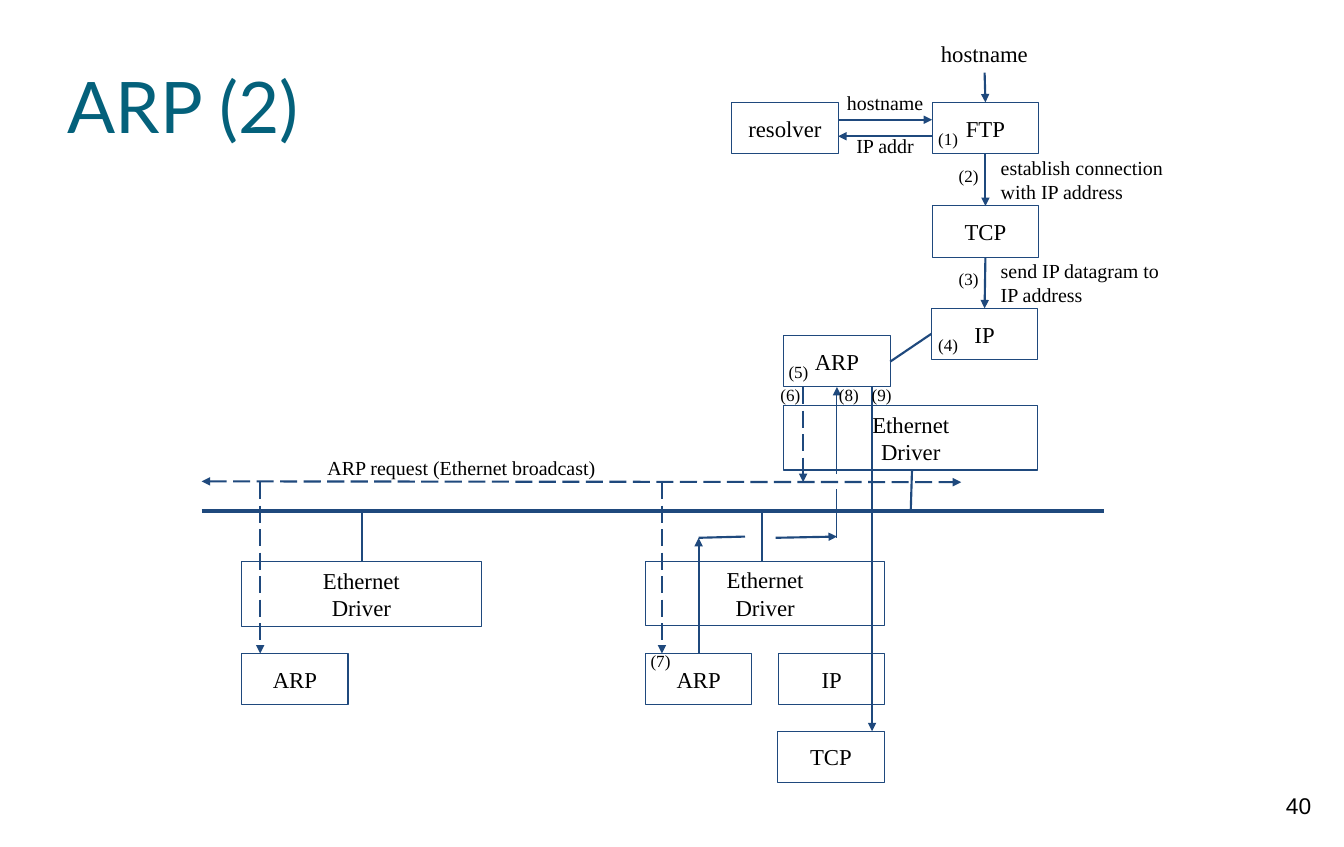
"""Build the slide that traces an ARP request between hosts on an Ethernet."""
from typing import NamedTuple

from lxml import etree
from pptx import Presentation
from pptx.dml.color import RGBColor
from pptx.enum.dml import MSO_LINE
from pptx.enum.shapes import MSO_CONNECTOR, MSO_SHAPE
from pptx.enum.text import MSO_ANCHOR, MSO_AUTO_SIZE, PP_ALIGN
from pptx.oxml.ns import qn
from pptx.util import Cm, Pt

RECT, STRAIGHT = MSO_SHAPE.RECTANGLE, MSO_CONNECTOR.STRAIGHT
LONG_DASH = MSO_LINE.LONG_DASH
TOP, MIDDLE = MSO_ANCHOR.TOP, MSO_ANCHOR.MIDDLE
LEFT, CENTER = PP_ALIGN.LEFT, PP_ALIGN.CENTER
NO_FIT = MSO_AUTO_SIZE.NONE
COLORS = {"line": "1F497D", "text": "000000", "title": "04617B"}
SERIF = "Times New Roman"

BOX_W, BOX_H, DRIVER_H = 2.64, 1.27, 1.6
LABEL_H, STEP_W = 0.74, 1.04
BUS_Y, BROADCAST_Y, REPLY_Y = 12.67, 11.96, 13.34
HOST_Y, ARP_BOTTOM, REPLY_X = 16.21, 9.6, 20.75


class Box(NamedTuple):
    text: str
    x: float
    y: float
    w: float = BOX_W
    h: float = BOX_H


class Label(NamedTuple):
    text: str
    x: float
    y: float
    w: float = STEP_W
    h: float = LABEL_H
    size: int = 12
    align: PP_ALIGN = LEFT
    anchor: MSO_ANCHOR = MIDDLE
    font: str = SERIF


class Line(NamedTuple):
    x1: float
    y1: float
    x2: float
    y2: float
    ends: tuple = ()
    width: float = 1.5
    dashed: bool = False


ARROW, BOTH = ("tailEnd",), ("headEnd", "tailEnd")

BOXES = [
    Box("FTP", 23.11, 2.54),
    Box("TCP", 23.11, 5.11),
    Box("IP", 23.09, 7.65),
    Box("resolver", 18.14, 2.54),
    Box("ARP", 19.43, 8.33),
    Box("Ethernet\nDriver", 19.43, 10.06, 6.3, DRIVER_H),
    Box("Ethernet\nDriver", 5.99, 13.94, 5.94, DRIVER_H),
    Box("Ethernet\nDriver", 16, 13.92, 5.94, DRIVER_H),
    Box("ARP", 5.99, HOST_Y),
    Box("ARP", 16, HOST_Y),
    Box("IP", 19.3, HOST_Y),
    Box("TCP", 19.28, 18.14),
]

LINES = [
    Line(24.41, 1.8, 24.43, 2.54, ARROW),
    Line(24.43, 3.81, 24.43, 5.11, ARROW),
    Line(24.43, 6.38, 24.41, 7.65, ARROW),
    Line(20.78, 2.97, 23.11, 2.97, ARROW),
    Line(23.11, 3.38, 20.78, 3.38, ARROW),
    Line(23.09, 8.28, 22.07, 8.97),
    Line(5, BUS_Y, 27.38, BUS_Y, width=3),
    Line(8.97, 13.94, 8.97, BUS_Y),
    Line(18.9, 13.94, 18.9, BUS_Y),
    Line(22.61, 11.66, 22.58, BUS_Y),
    Line(5, 11.94, 23.83, BROADCAST_Y, BOTH, dashed=True),
    Line(6.45, BROADCAST_Y, 6.45, HOST_Y, ARROW, dashed=True),
    Line(16.41, BROADCAST_Y, 16.41, HOST_Y, ARROW, dashed=True),
    Line(19.91, ARP_BOTTOM, 19.91, BROADCAST_Y, ARROW, dashed=True),
    Line(17.32, HOST_Y, 17.32, REPLY_Y, ARROW),
    Line(17.32, REPLY_Y, 18.47, 13.31),
    Line(19.23, REPLY_Y, REPLY_X, 13.31, ARROW),
    Line(REPLY_X, REPLY_Y, REPLY_X, 12.14, width=0.75),
    Line(REPLY_X, 11.76, REPLY_X, ARP_BOTTOM, ARROW, 0.75),
    Line(21.62, ARP_BOTTOM, 21.62, 18.14, ARROW),
]

LABELS = [
    Label("hostname", 23.01, 0.86, 2.79, 0.94, 16, CENTER),
    Label("hostname", 20.55, 2.01, 2.79, LABEL_H, 14, CENTER, TOP),
    Label("IP addr", 20.55, 3.07, 2.79, LABEL_H, 14, CENTER, TOP),
    Label("ARP request (Ethernet broadcast)", 7.04, 11.23, 8.81, LABEL_H, 14, CENTER),
    Label("establish connection with IP address", 24.56, 4.09, 4.93, size=14),
    Label("send IP datagram to IP address", 24.56, 6.63, 4.93, size=14),
    Label("40", 31.19, 19.38, 2.01, 1.6, 16, CENTER, TOP, "Arial"),
]

STEPS = [
    (23.01, 3.07), (23.52, 3.99), (23.52, 6.55),
    (23.01, 8.18), (19.3, 8.86), (19.1, 9.42),
    (15.88, 16.03), (20.55, 9.42), (21.36, 9.42),
]


def rgb(name: str) -> RGBColor:
    """Look up a named colour."""
    return RGBColor.from_string(COLORS[name])


def write(sp, text: str, *, size: int = 16, font: str = SERIF, color: str = "text",
          align: PP_ALIGN = CENTER, anchor: MSO_ANCHOR = MIDDLE, inset: float = 0.25) -> None:
    """Fill a shape with formatted text, one paragraph per line."""
    tf = sp.text_frame
    tf.word_wrap, tf.auto_size, tf.vertical_anchor = True, NO_FIT, anchor
    tf.margin_left = tf.margin_right = tf.margin_top = tf.margin_bottom = Cm(inset)
    for i, line in enumerate(text.split("\n")):
        p = tf.add_paragraph() if i else tf.paragraphs[0]
        p.alignment = align
        r = p.add_run()
        r.text = line
        r.font.size, r.font.name = Pt(size), font
        r.font.color.rgb = rgb(color)


def draw_box(s, box: Box) -> None:
    """Draw an outlined protocol box."""
    sp = s.shapes.add_shape(RECT, Cm(box.x), Cm(box.y), Cm(box.w), Cm(box.h))
    sp.shadow.inherit = False
    sp.fill.background()
    sp.line.color.rgb = rgb("line")
    sp.line.width = Pt(0.75)
    write(sp, box.text)


def draw_line(s, line: Line) -> None:
    """Draw a straight line with its arrowheads."""
    sp = s.shapes.add_connector(STRAIGHT, Cm(line.x1), Cm(line.y1), Cm(line.x2), Cm(line.y2))
    sp.line.color.rgb = rgb("line")
    sp.line.width = Pt(line.width)
    if line.dashed:
        sp.line.dash_style = LONG_DASH
    ln = sp.line._get_or_add_ln()
    for end in line.ends:
        etree.SubElement(ln, qn(f"a:{end}"), type="triangle")
    etree.SubElement(sp._element.spPr, qn("a:effectLst"))


def draw_label(s, label: Label) -> None:
    """Draw a free text label."""
    sp = s.shapes.add_textbox(Cm(label.x), Cm(label.y), Cm(label.w), Cm(label.h))
    write(sp, label.text, size=label.size, font=label.font,
          align=label.align, anchor=label.anchor)


def main() -> None:
    """Build and save the slide."""
    prs = Presentation()
    prs.slide_width, prs.slide_height = Cm(33.32), Cm(21.01)
    s = prs.slides.add_slide(prs.slide_layouts[5])
    title = s.shapes.title
    title.left, title.top, title.width, title.height = Cm(1.68), Cm(0.84), Cm(6.25), Cm(3.51)
    write(title, "ARP (2)", size=50, font="Lato", color="title", align=LEFT, inset=0)
    for box in BOXES:
        draw_box(s, box)
    for line in LINES:
        draw_line(s, line)
    steps = [Label(f"({n})", x, y) for n, (x, y) in enumerate(STEPS, 1)]
    for label in LABELS + steps:
        draw_label(s, label)
    prs.save("out.pptx")


if __name__ == "__main__":
    main()
